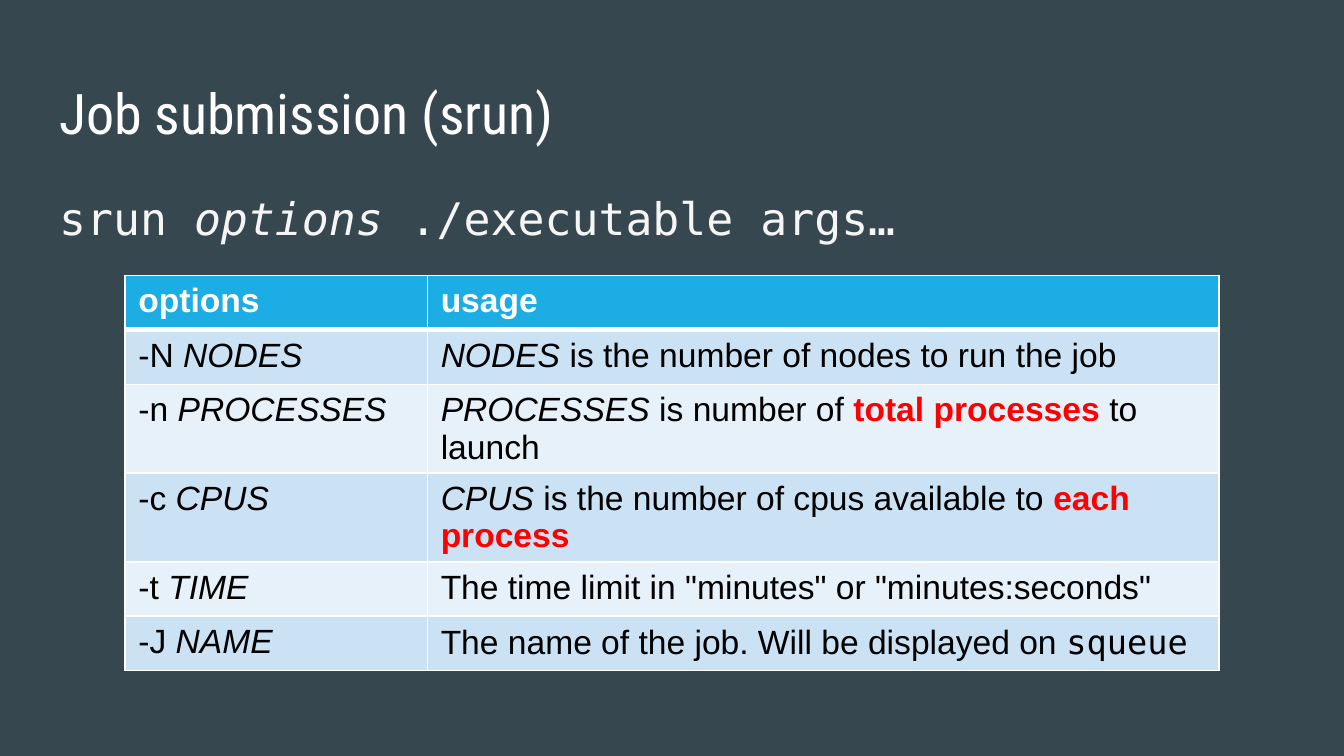
import pptx
import pptx.dml.color
import pptx.enum.text
import pptx.oxml.ns
import pptx.util
import lxml.etree

COLORS = {
    "background": "37474F",
    "white": "FFFFFF",
    "command": "F5F5F5",
    "header": "1CADE4",
    "odd": "CBE2F5",
    "even": "E7F1FA",
    "text": "000000",
    "accent": "FF0000",
}
SANS, MONO, HEADING = "Arial", "DejaVu Sans Mono", "Roboto Condensed"
WIDTH = pptx.util.Inches(10)
HEIGHT = WIDTH * 9 // 16
ITALIC = {"italic": True}
STRONG = {"bold": True, "color": "accent"}

OPTIONS = [
    ("-N ", "NODES", [("NODES ", ITALIC), ("is the number of nodes to run the job", {})]),
    ("-n ", "PROCESSES", [("PROCESSES", ITALIC), (" is number of ", {}),
                          ("total processes ", STRONG), ("to launch", {})]),
    ("-c ", "CPUS", [("CPUS", ITALIC), (" is the number of cpus available to", {}),
                     (" each process", STRONG)]),
    ("-t", " TIME", [('The time limit in "minutes" or "minutes:seconds"', {})]),
    ("-J ", "NAME", [("The name of the job. Will be displayed on ", {}),
                     ("squeue", {"font": MONO})]),
]


def rgb(name):
    return pptx.dml.color.RGBColor.from_string(COLORS[name])


def from_percent(x, y, w, h):
    return [int(share * size / 100)
            for share, size in zip((x, y, w, h), (WIDTH, HEIGHT, WIDTH, HEIGHT))]


def add_run(p, text, size=18, font=SANS, color="text", bold=False, italic=False):
    r = p.add_run()
    r.text = text
    r.font.size = pptx.util.Pt(size)
    r.font.name = font
    r.font.color.rgb = rgb(color)
    r.font.bold = bold
    r.font.italic = italic


def place(sp, box):
    sp.left, sp.top, sp.width, sp.height = box
    tf = sp.text_frame
    tf.word_wrap = True
    tf.auto_size = pptx.enum.text.MSO_AUTO_SIZE.NONE
    tf.vertical_anchor = pptx.enum.text.MSO_ANCHOR.TOP
    tf.margin_left = tf.margin_right = pptx.util.Inches(0.1)
    tf.margin_top = tf.margin_bottom = pptx.util.Inches(0.1)
    p = tf.paragraphs[0]
    p.alignment = pptx.enum.text.PP_ALIGN.LEFT
    p.space_before = pptx.util.Pt(0)
    return p


def add_title(s, box):
    p = place(s.shapes.title, box)
    add_run(p, "Job submission (srun)", size=30, font=HEADING, color="white")


def add_command(s, box):
    p = place(s.placeholders[1], box)
    p.line_spacing = 1.15
    pPr = p._p.get_or_add_pPr()
    pPr.set("marL", "0")
    pPr.set("indent", "0")
    lxml.etree.SubElement(pPr, pptx.oxml.ns.qn("a:buNone"))
    for text, italic in (("srun ", False), ("options", True), (" ./executable args…", False)):
        add_run(p, text, size=24, font=MONO, color="command", italic=italic)


def set_borders(cell, **widths):
    tcPr = cell._tc.get_or_add_tcPr()
    for side in "LRTB":
        ln = lxml.etree.SubElement(tcPr, pptx.oxml.ns.qn(f"a:ln{side}"))
        ln.set("w", str(pptx.util.Pt(widths.get(side, 1))))
        fill = lxml.etree.SubElement(ln, pptx.oxml.ns.qn("a:solidFill"))
        lxml.etree.SubElement(fill, pptx.oxml.ns.qn("a:srgbClr")).set("val", COLORS["white"])


def fill_cell(cell, runs, fill, **borders):
    set_borders(cell, **borders)
    cell.fill.solid()
    cell.fill.fore_color.rgb = rgb(fill)
    for text, style in runs:
        add_run(cell.text_frame.paragraphs[0], text, **style)


def add_options_table(s, box):
    heading = {"bold": True, "color": "white"}
    rows = [([("options", heading)], [("usage", heading)])]
    rows += [([(flag, {}), (value, ITALIC)], usage) for flag, value, usage in OPTIONS]
    table = s.shapes.add_table(len(rows), 2, *box).table
    shares = (2.25, 5.89)
    for column, share in zip(table.columns, shares):
        column.width = int(box[2] * share / sum(shares))
    for i, row in enumerate(rows):
        fill = "header" if i == 0 else "odd" if i % 2 else "even"
        borders = {0: {"B": 3}, 1: {"T": 3}}.get(i, {})
        for j, runs in enumerate(row):
            fill_cell(table.cell(i, j), runs, fill, **borders)


def main():
    prs = pptx.Presentation()
    prs.slide_width, prs.slide_height = WIDTH, HEIGHT
    s = prs.slides.add_slide(prs.slide_layouts[1])
    s.background.fill.solid()
    s.background.fill.fore_color.rgb = rgb("background")
    add_title(s, from_percent(3.4, 8.65, 93.2, 11.2))
    add_command(s, from_percent(3.4, 22.4, 93.2, 66.5))
    add_options_table(s, from_percent(9.3, 36.45, 81.4, 43.2))
    prs.save("out.pptx")


if __name__ == "__main__":
    main()
